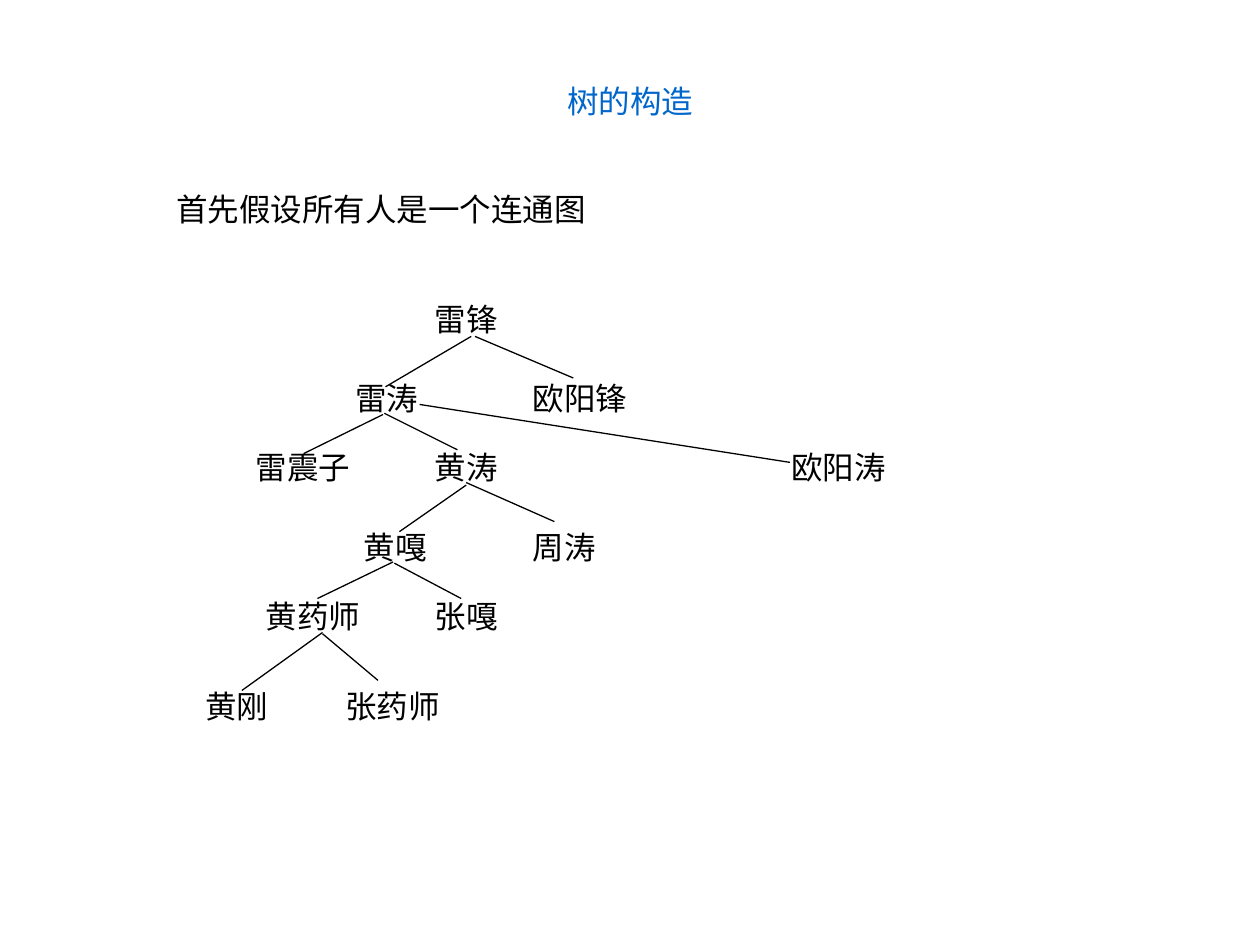
from dataclasses import dataclass

from lxml import etree
from pptx import Presentation
from pptx.dml.color import RGBColor
from pptx.enum.shapes import MSO_CONNECTOR as Connector
from pptx.enum.text import MSO_ANCHOR as Anchor, PP_ALIGN as Align
from pptx.oxml.ns import qn
from pptx.slide import Slide
from pptx.util import Inches, Pt

BLACK = RGBColor(0x00, 0x00, 0x00)
BLUE = RGBColor(0x00, 0x66, 0xCC)
CELL = 0.1  # inches: the slide is 100 columns by 75 rows
COLUMNS, ROWS = 100, 75
TEXT_ROWS = 4

# Row of each tree level, with the (name, column, width) of its people
LEVELS = {
    23.3: [("雷锋", 33.5, 10.2)],
    29.6: [("雷涛", 27.2, 8.7), ("欧阳锋", 41.3, 13.4)],
    35.1: [("雷震子", 19.3, 10.2), ("黄涛", 33.5, 10.2), ("欧阳涛", 61.8, 11.8)],
    41.4: [("黄嘎", 27.9, 10.2), ("周涛", 41.3, 10.2)],
    46.9: [("黄药师", 20.1, 10.2), ("张嘎", 33.5, 10.2)],
    54: [("黄刚", 15.3, 7.9), ("张药师", 26.4, 11)],
}

# Parent end and child end of each branch, as (column, row)
BRANCHES = [
    ((37.4, 26.7), (30.6, 30.7)),
    ((37.7, 26.7), (45.5, 30)),
    ((30.4, 32.9), (24.1, 36)),
    ((30.5, 32.8), (36.3, 35.7)),
    ((33.3, 32.1), (62.7, 36.7)),
    ((37, 38.5), (31.7, 42.2)),
    ((37, 38.3), (44, 41.4)),
    ((31.2, 44.6), (25.2, 47.5)),
    ((31.3, 44.7), (36.6, 47.5)),
    ((25.6, 50.2), (19.2, 54.8)),
    ((25.6, 50.3), (30, 54)),
]


def cells(*counts):
    return [Inches(count * CELL) for count in counts]


def write(frame, text, *, font="Arial", size=18, color=BLACK,
          align=Align.LEFT, wrap=True):
    frame.word_wrap = wrap
    frame.vertical_anchor = Anchor.TOP
    paragraph = frame.paragraphs[0]
    paragraph.alignment = align
    run = paragraph.add_run()
    run.text = text
    run.font.name = font
    run.font.size = Pt(size)
    run.font.color.rgb = color


@dataclass
class TreeSlide:
    slide: Slide
    line_color: RGBColor = BLACK
    line_width: float = 0.75

    def title(self, text, column, row, width, height):
        shape = self.slide.shapes.title
        shape.left, shape.top, shape.width, shape.height = cells(
            column, row, width, height)
        write(shape.text_frame, text, font="Noto Sans CJK SC", color=BLUE,
              align=Align.CENTER, wrap=False)

    def label(self, text, column, row, width):
        box = self.slide.shapes.add_textbox(
            *cells(column, row, width, TEXT_ROWS))
        write(box.text_frame, text)

    def branch(self, parent, child):
        line = self.slide.shapes.add_connector(
            Connector.STRAIGHT, *cells(*parent, *child))
        line.line.color.rgb = self.line_color
        line.line.width = Pt(self.line_width)
        etree.SubElement(line._element.spPr, qn("a:effectLst"))


def main():
    presentation = Presentation()
    presentation.slide_width, presentation.slide_height = cells(COLUMNS, ROWS)
    title_only = presentation.slide_layouts[5]
    tree = TreeSlide(presentation.slides.add_slide(title_only))

    tree.title("树的构造", 37.4, 6, 25.2, 5.8)
    tree.label("首先假设所有人是一个连通图", 13, 14.6, 40.2)
    for row, people in LEVELS.items():
        for name, column, width in people:
            tree.label(name, column, row, width)
    for parent, child in BRANCHES:
        tree.branch(parent, child)

    presentation.save("out.pptx")


if __name__ == "__main__":
    main()
